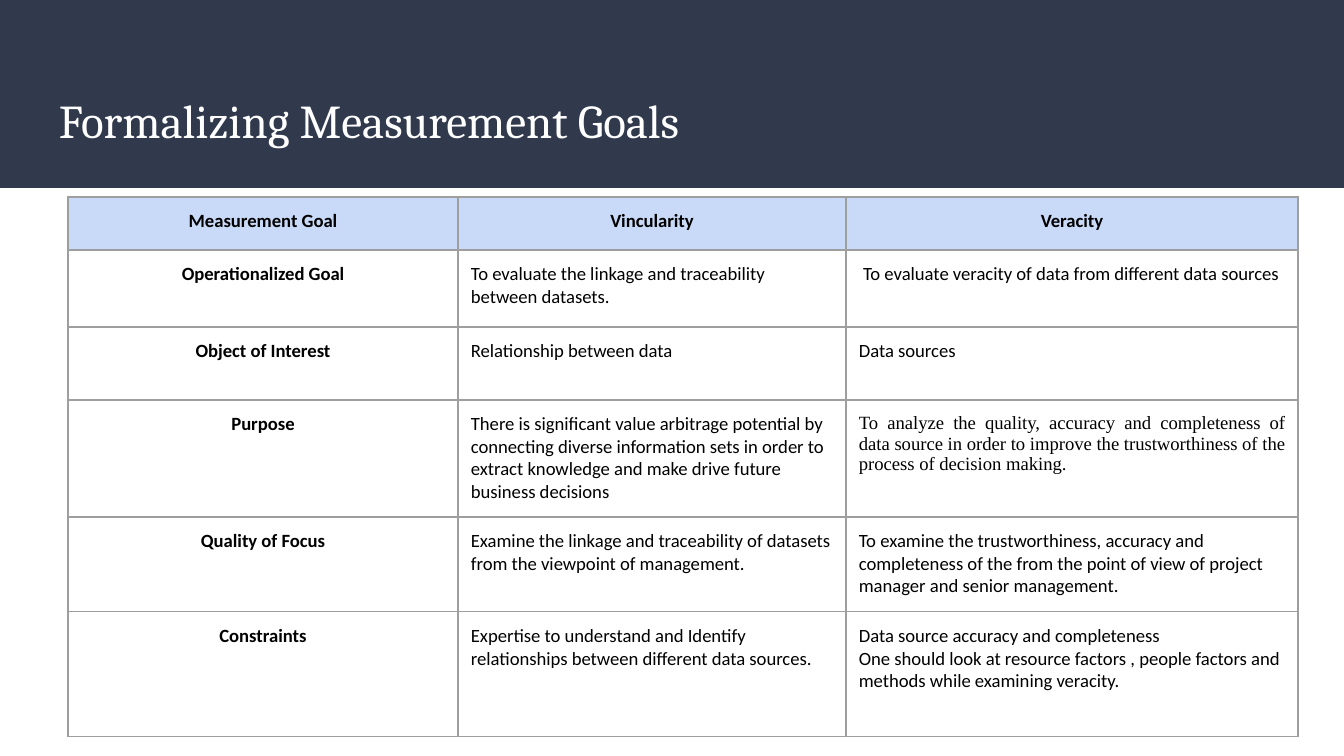
from itertools import pairwise
from pptx import Presentation
from pptx.dml.color import RGBColor
from pptx.enum.shapes import MSO_SHAPE as Shape
from pptx.enum.text import MSO_ANCHOR as Anchor, PP_ALIGN as Align
from pptx.oxml import parse_xml
from pptx.oxml.ns import nsdecls
from pptx.util import Pt

NAVY = RGBColor(0x31, 0x39, 0x4D)
WHITE = RGBColor(0xFF, 0xFF, 0xFF)
BLACK = RGBColor(0, 0, 0)
PALE = RGBColor(0xC9, 0xDA, 0xF8)
GRAY = RGBColor(0x9E, 0x9E, 0x9E)
PAD = 13


def px(n):
    return round(n * 914400 / 134.4)


def write(frame, text, font="Calibri", size=10, color=BLACK, bold=False, align=Align.LEFT):
    frame.word_wrap = True
    frame.text = text
    for para in frame.paragraphs:
        para.alignment = align
        for run in para.runs:
            run.font.name = font
            run.font.size = Pt(size)
            run.font.bold = bold
            run.font.color.rgb = color


deck = Presentation()
deck.slide_width, deck.slide_height = px(1344), px(756)
slide = deck.slides.add_slide(deck.slide_layouts[5])

# Header band, behind the title
band = slide.shapes.add_shape(Shape.RECTANGLE, 0, 0, px(1344), px(188))
band.shadow.inherit = False
band.fill.solid()
band.fill.fore_color.rgb = NAVY
band.line.fill.background()
slide.shapes._spTree.insert(2, band._element)

# Title
title = slide.shapes.title
title.left, title.top, title.width, title.height = px(46), px(74), px(1252), px(91)
frame = title.text_frame
frame.margin_left = frame.margin_right = frame.margin_top = frame.margin_bottom = px(PAD)
frame.vertical_anchor = Anchor.MIDDLE
write(frame, "Formalizing Measurement Goals", font="Cambria", size=25.2, color=WHITE)

# Goal table
goals = [
    ("Measurement Goal", "Vincularity", "Veracity"),
    ("Operationalized Goal",
     "To evaluate the linkage and traceability between datasets.",
     " To evaluate veracity of data from different data sources"),
    ("Object of Interest", "Relationship between data", "Data sources"),
    ("Purpose",
     "There is significant value arbitrage potential by connecting diverse information sets "
     "in order to extract knowledge and make drive future business decisions",
     "To analyze the quality, accuracy and completeness of data source in order to improve "
     "the trustworthiness of the process of decision making."),
    ("Quality of Focus",
     "Examine the linkage and traceability of datasets from the viewpoint of management.",
     "To examine the trustworthiness, accuracy and completeness of the from the point of view "
     "of project manager and senior management."),
    ("Constraints",
     "Expertise to understand and Identify relationships between different data sources.",
     "Data source accuracy and completeness\n"
     "One should look at resource factors , people factors and methods while examining veracity."),
]
xs = [68, 458, 846, 1298]
ys = [197, 250, 327, 400, 517, 612, 737]
table = slide.shapes.add_table(
    len(goals), 3, px(xs[0]), px(ys[0]), px(xs[-1] - xs[0]), px(ys[-1] - ys[0])).table
table.horz_banding = False
for col, (a, b) in zip(table.columns, pairwise(xs)):
    col.width = px(b - a)
for row, (a, b) in zip(table.rows, pairwise(ys)):
    row.height = px(b - a)

for r, goal in enumerate(goals):
    for c, text in enumerate(goal):
        cell = table.cell(r, c)
        cell.margin_left = cell.margin_right = px(PAD)
        cell.margin_top = cell.margin_bottom = px(PAD)
        head = r == 0 or c == 0
        style = {"bold": head, "align": Align.CENTER if head else Align.LEFT}
        if (goal[0], c) == ("Purpose", 2):
            style.update(font="Times New Roman", align=Align.JUSTIFY)
        write(cell.text_frame, text, **style)
        # Borders come before the fill in the cell properties
        props = cell._tc.get_or_add_tcPr()
        for side in ("lnL", "lnR", "lnT", "lnB"):
            props.append(parse_xml(
                f'<a:{side} {nsdecls("a")} w="{Pt(0.75)}"><a:solidFill>'
                f'<a:srgbClr val="{GRAY}"/></a:solidFill></a:{side}>'))
        if r == 0:
            cell.fill.solid()
            cell.fill.fore_color.rgb = PALE
        else:
            cell.fill.background()

deck.save("out.pptx")
